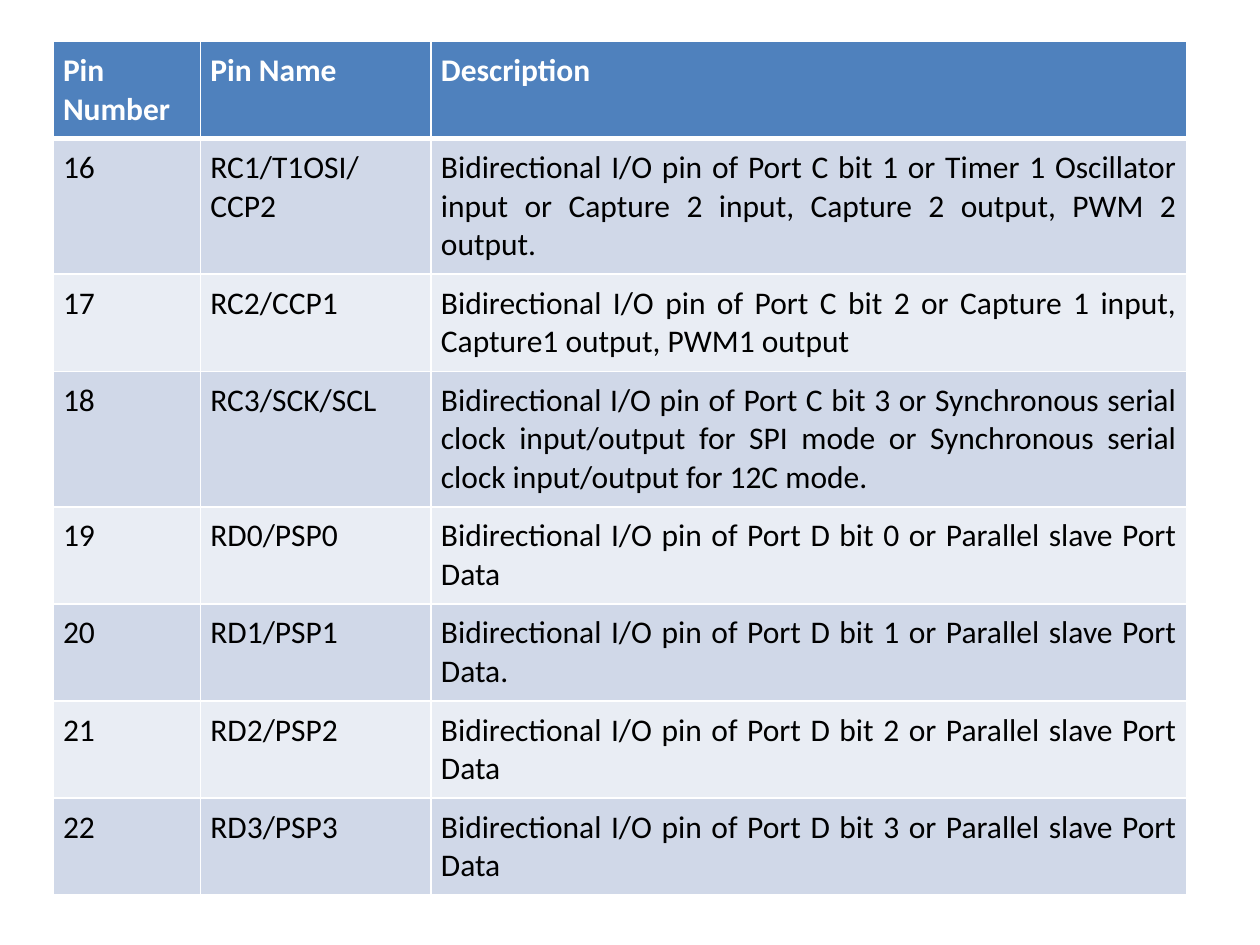
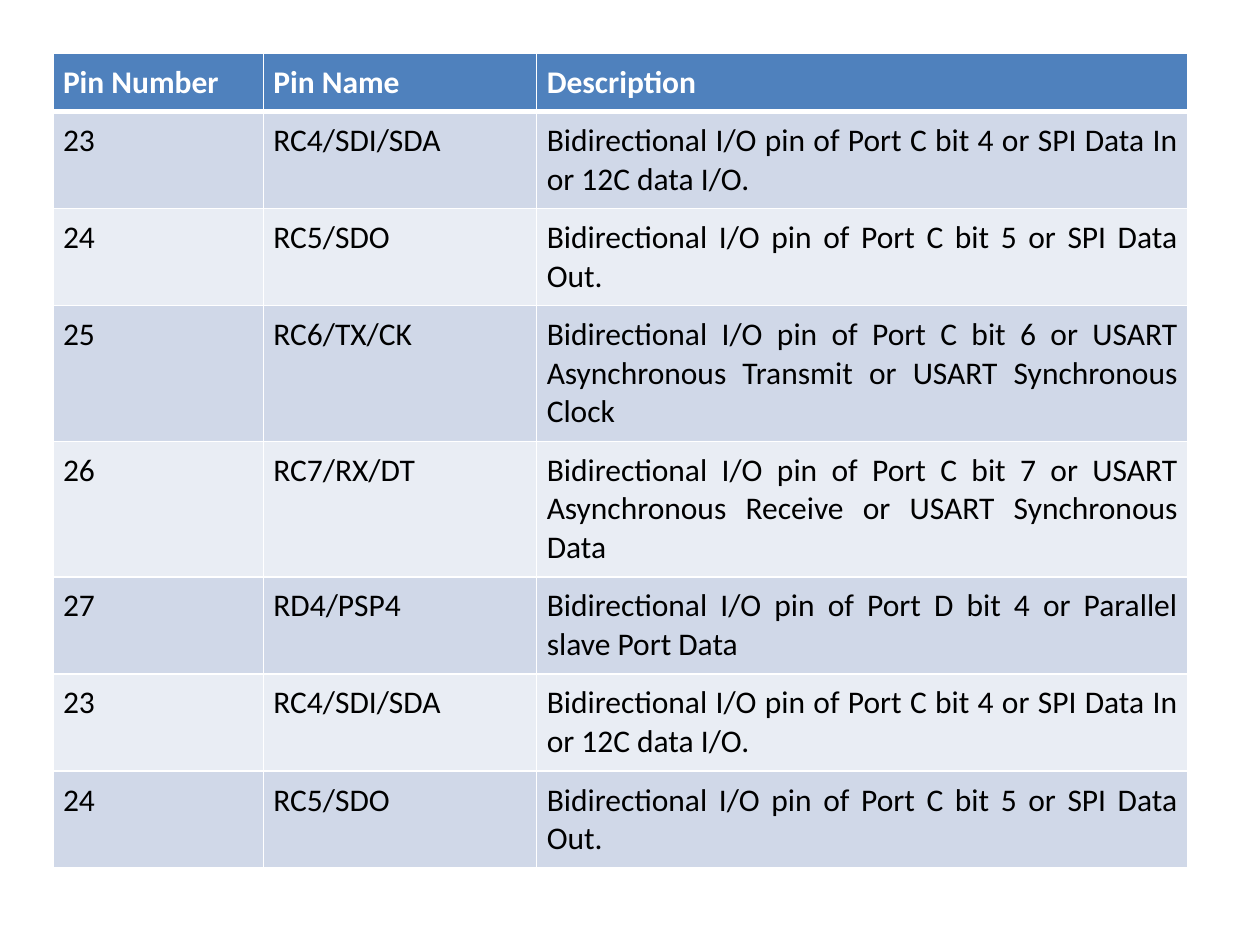
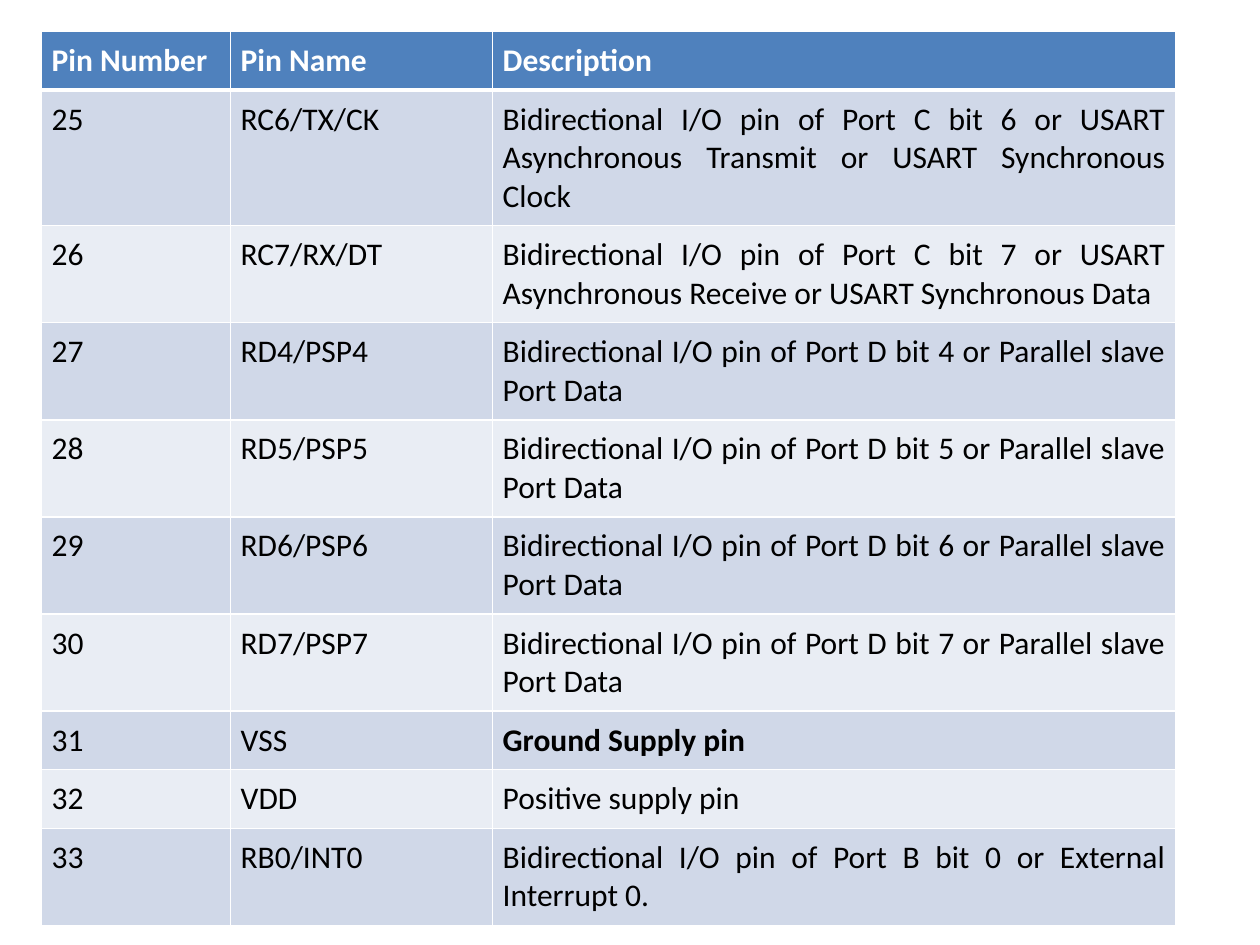
from dataclasses import dataclass

from lxml import etree
from pptx import Presentation
from pptx.dml.color import RGBColor
from pptx.enum.text import PP_ALIGN
from pptx.oxml.ns import qn
from pptx.util import Inches, Pt

JUSTIFY = PP_ALIGN.JUSTIFY
BLANK_LAYOUT = 6


@dataclass(frozen=True)
class Theme:
    font: str = "Calibri"
    size: int = 18
    header_fill: str = "4F81BD"
    header_text: str = "FFFFFF"
    body_text: str = "000000"
    band_fills: tuple[str, str] = ("D0D8E8", "E9EDF4")
    border: str = "FFFFFF"
    thin_border: float = 1
    thick_border: float = 3
    cell_margin: float = 0.08
    row_height: float = 0.41


@dataclass(frozen=True)
class Pin:
    number: int
    name: str
    description: str
    bold: bool = False


@dataclass(frozen=True)
class PinPage:
    left: float
    top: float
    height: float
    column_widths: tuple[float, float, float]
    pins: tuple[Pin, ...]


@dataclass(frozen=True)
class CellStyle:
    fill: str
    text: str
    bold: bool = False
    top_border: float = 1
    bottom_border: float = 1


THEME = Theme()
HEADINGS = ("Pin Number", "Pin Name", "Description")


def port_pin(number: int, name: str, bit: str, role: str) -> Pin:
    port, index = bit
    return Pin(number, name, f"Bidirectional I/O pin of Port {port} bit {index} or {role}")


def parallel_pin(number: int, bit: int, ending: str = "") -> Pin:
    return port_pin(number, f"RD{bit}/PSP{bit}", f"D{bit}", f"Parallel slave Port Data{ending}")


SPI_PINS = (
    port_pin(23, "RC4/SDI/SDA", "C4", "SPI Data In or 12C data I/O."),
    port_pin(24, "RC5/SDO", "C5", "SPI Data Out."),
)
USART_PINS = (
    port_pin(25, "RC6/TX/CK", "C6", "USART Asynchronous Transmit or USART Synchronous Clock"),
    port_pin(26, "RC7/RX/DT", "C7", "USART Asynchronous Receive or USART Synchronous Data"),
)

PAGES = (
    PinPage(0.42, 0.33, 6.73, (1.17, 1.83, 6), (
        port_pin(16, "RC1/T1OSI/CCP2", "C1",
                 "Timer 1 Oscillator input or Capture 2 input, Capture 2 output, PWM 2 output."),
        port_pin(17, "RC2/CCP1", "C2", "Capture 1 input, Capture1 output, PWM1 output"),
        port_pin(18, "RC3/SCK/SCL", "C3",
                 "Synchronous serial clock input/output for SPI mode or "
                 "Synchronous serial clock input/output for 12C mode."),
        parallel_pin(19, 0),
        parallel_pin(20, 1, "."),
        parallel_pin(21, 2),
        parallel_pin(22, 3),
    )),
    PinPage(0.42, 0.42, 6.43, (1.67, 2.17, 5.17), (
        *SPI_PINS, *USART_PINS, parallel_pin(27, 4), *SPI_PINS,
    )),
    PinPage(0.33, 0.25, 7.07, (1.5, 2.08, 5.42), (
        *USART_PINS,
        *(parallel_pin(23 + bit, bit) for bit in range(4, 8)),
        Pin(31, "VSS", "Ground Supply pin", bold=True),
        Pin(32, "VDD", "Positive supply pin"),
        port_pin(33, "RB0/INT0", "B0", "External Interrupt 0."),
    )),
)


def set_borders(cell, style: CellStyle) -> None:
    properties = cell._tc.get_or_add_tcPr()
    widths = {"lnL": THEME.thin_border, "lnR": THEME.thin_border,
              "lnT": style.top_border, "lnB": style.bottom_border}
    for tag, width in widths.items():
        line = etree.SubElement(properties, qn(f"a:{tag}"), w=str(Pt(width)))
        fill = etree.SubElement(line, qn("a:solidFill"))
        etree.SubElement(fill, qn("a:srgbClr"), val=THEME.border)


def write_cell(cell, text: str, style: CellStyle) -> None:
    set_borders(cell, style)
    cell.fill.solid()
    cell.fill.fore_color.rgb = RGBColor.from_string(style.fill)
    margin = Inches(THEME.cell_margin)
    cell.margin_left = cell.margin_right = margin
    cell.margin_top = cell.margin_bottom = margin
    cell.text = text
    para = cell.text_frame.paragraphs[0]
    para.alignment = JUSTIFY
    para.font.name = THEME.font
    para.font.size = Pt(THEME.size)
    para.font.bold = style.bold
    para.font.color.rgb = RGBColor.from_string(style.text)


def add_pin_table(slide, page: PinPage) -> None:
    frame = slide.shapes.add_table(
        len(page.pins) + 1, len(HEADINGS), Inches(page.left), Inches(page.top),
        Inches(sum(page.column_widths)), Inches(page.height))
    table = frame.table
    for column, width in zip(table.columns, page.column_widths):
        column.width = Inches(width)
    for row in table.rows:
        row.height = Inches(THEME.row_height)
    frame.height = Inches(page.height)

    header = CellStyle(THEME.header_fill, THEME.header_text, bold=True,
                       bottom_border=THEME.thick_border)
    for column, heading in enumerate(HEADINGS):
        write_cell(table.cell(0, column), heading, header)

    for index, pin in enumerate(page.pins):
        fill = THEME.band_fills[index % 2]
        top = THEME.thin_border if index else THEME.thick_border
        plain = CellStyle(fill, THEME.body_text, top_border=top)
        described = CellStyle(fill, THEME.body_text, pin.bold, top)
        values = ((str(pin.number), plain), (pin.name, plain), (pin.description, described))
        for column, (text, style) in enumerate(values):
            write_cell(table.cell(index + 1, column), text, style)


def main() -> None:
    deck = Presentation()
    deck.slide_width = Inches(10)
    deck.slide_height = Inches(7.5)
    for page in PAGES:
        add_pin_table(deck.slides.add_slide(deck.slide_layouts[BLANK_LAYOUT]), page)
    deck.save("out.pptx")


if __name__ == "__main__":
    main()
